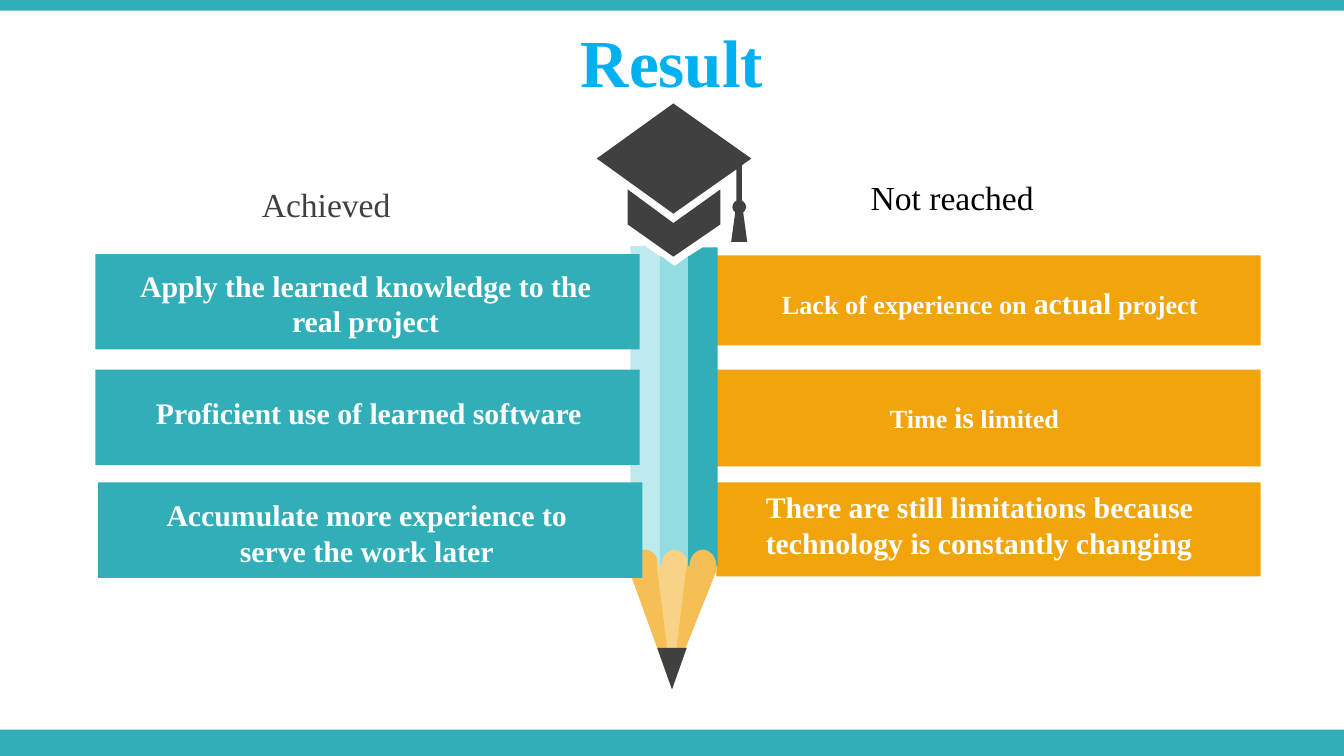
from math import cos, radians, sin

from pptx import Presentation
from pptx.dml.color import RGBColor
from pptx.enum.shapes import MSO_SHAPE as SHAPE
from pptx.enum.text import MSO_ANCHOR as ANCHOR, MSO_AUTO_SIZE as AUTO, PP_ALIGN as ALIGN
from pptx.util import Inches, Pt

FONT = "Times New Roman"
TEAL, ORANGE, DARK, WHITE = "32AEB8", "F2A40D", "404040", "FFFFFF"


def rgb(code):
    return RGBColor.from_string(code)


def paint(sp, color):
    sp.shadow.inherit = False
    sp.fill.solid()
    sp.fill.fore_color.rgb = rgb(color)
    sp.line.fill.background()


def add_block(shapes, left, top, width, height, color, kind=SHAPE.RECTANGLE):
    sp = shapes.add_shape(kind, Inches(left), Inches(top), Inches(width), Inches(height))
    paint(sp, color)
    return sp


def add_outline(shapes, contours, color):
    """Draw one filled freeform from closed contours given in inches."""
    contours = [[(Inches(x), Inches(y)) for x, y in points] for points in contours]
    builder = shapes.build_freeform(*contours[0][0], scale=1.0)
    for i, points in enumerate(contours):
        if i:
            builder.move_to(*points[0])
        builder.add_line_segments(points[1:], close=True)
    paint(builder.convert_to_shape(), color)


def arc(cx, cy, rx, ry, start, end, steps=24):
    """Points on an ellipse, with angles in degrees clockwise from the right."""
    angles = [radians(start + (end - start) * i / steps) for i in range(steps + 1)]
    return [(cx + rx * cos(a), cy + ry * sin(a)) for a in angles]


def add_text(shapes, box, runs, color=WHITE, bold=True, align=ALIGN.CENTER, wrap=True):
    sp = shapes.add_textbox(*(Inches(v) for v in box))
    tf = sp.text_frame
    tf.word_wrap = wrap
    tf.auto_size = AUTO.SHAPE_TO_FIT_TEXT
    p = tf.paragraphs[0]
    p.alignment = align
    for text, size in runs:
        r = p.add_run()
        r.text = text
        r.font.name, r.font.size, r.font.bold = FONT, Pt(size), bold
        r.font.color.rgb = rgb(color)
    return sp


def add_title(shapes):
    sp = add_text(shapes, (0, 0.14, 10, 0.63), [("Result", 36)], "00B0F0")
    tf = sp.text_frame
    tf.auto_size = AUTO.NONE
    tf.vertical_anchor = ANCHOR.MIDDLE
    tf.paragraphs[0].space_before = Pt(7.2)


def add_pencil(slide):
    shapes = slide.shapes.add_group_shape().shapes
    # Wood
    add_outline(shapes, [[(4.68, 4.08), (5.33, 4.08), (5.33, 4.25), (4.99, 5.1),
                          (4.68, 4.24)]], "F6BF56")
    add_outline(shapes, [[(4.89, 4.07), (5.11, 4.07), (5.11, 4.19), (5, 5.1),
                          (4.89, 4.24)]], "F8D286")
    # Painted stripes with scalloped lower ends
    width, bottom = 0.22, 4.21
    stripes = [
        (4.69, [(4.69, 1.83), (4.8, 1.83), (4.91, 1.91)], "BEEAED"),
        (4.91, [(4.91, 1.9), (5.02, 1.98), (5.13, 1.9)], "92DCE2"),
        (5.12, [(5.12, 1.91), (5.23, 1.84), (5.34, 1.84)], TEAL),
    ]
    for left, upper, color in stripes:
        scallop = arc(left + width / 2, bottom, 0.1, 0.12, 0, -180)
        points = upper + [(left + width, bottom)] + scallop + [(left, bottom)]
        add_outline(shapes, [points], color)
    # Lead
    add_block(shapes, 4.89, 4.82, 0.22, 0.31, DARK, SHAPE.ISOSCELES_TRIANGLE).rotation = 180


def add_cap(slide):
    band = [(4.67, 1.41), (5.01, 1.66), (5.36, 1.41), (5.36, 1.67), (5.01, 1.91), (4.67, 1.67)]
    knob = (5.5, 1.54, 0.05, 0.05)
    board = ([(5.01, 0.77), (5.59, 1.18), (5.52, 1.23)]
             + arc(*knob, -66, 54) + [(5.56, 1.8), (5.44, 1.8)] + arc(*knob, 126, 246)
             + [(5.48, 1.26), (5.01, 1.59), (4.44, 1.18)])
    add_outline(slide.shapes, [band, board], DARK)


def main():
    prs = Presentation()
    prs.slide_width, prs.slide_height = Inches(10), Inches(10 * 9 / 16)
    slide = prs.slides.add_slide(prs.slide_layouts[6])
    shapes = slide.shapes

    # Page edges
    add_block(shapes, 0, 5.43, 10, 0.2, TEAL)
    add_block(shapes, 0, 0, 10, 0.08, TEAL)

    # Bars on both sides of the pencil
    for top, height in [(1.9, 0.67), (2.75, 0.72), (3.59, 0.7)]:
        add_block(shapes, 5.33, top, 4.05, height, ORANGE)
    add_title(shapes)
    add_pencil(slide)
    add_cap(slide)
    for left, top in [(0.71, 1.89), (0.71, 2.75), (0.73, 3.59)]:
        add_block(shapes, left, top, 4.05, 0.71, TEAL)

    # Points not reached
    add_text(shapes, (5.6, 3.59, 3.7, 0.64),
             [("There are still limitations because technology is constantly changing", 16)],
             align=ALIGN.LEFT)
    add_text(shapes, (5.72, 2.07, 3.46, 0.37),
             [("Lack of experience on ", 14), ("actual", 16), (" project", 14)], align=ALIGN.LEFT)
    add_text(shapes, (5.59, 2.92, 3.32, 0.37), [("Time ", 14), ("is", 16), (" limited", 14)])

    # Points achieved
    achieved = [
        ((0.87, 1.94, 3.7, 0.64), "Apply the learned knowledge to the real project"),
        ((0.78, 2.89, 3.93, 0.37), "Proficient use of learned software"),
        ((1, 3.65, 3.46, 0.64), "Accumulate more experience to serve the work later"),
    ]
    for box, text in achieved:
        add_text(shapes, box, [(text, 16)])

    # Column headings
    for box, text, color in [((1.85, 1.32, 1.2, 0.4), "Achieved", DARK),
                             ((6.38, 1.27, 1.43, 0.4), "Not reached", "000000")]:
        add_text(shapes, box, [(text, 18)], color, bold=False, align=ALIGN.LEFT, wrap=False)

    prs.save("out.pptx")


if __name__ == "__main__":
    main()
